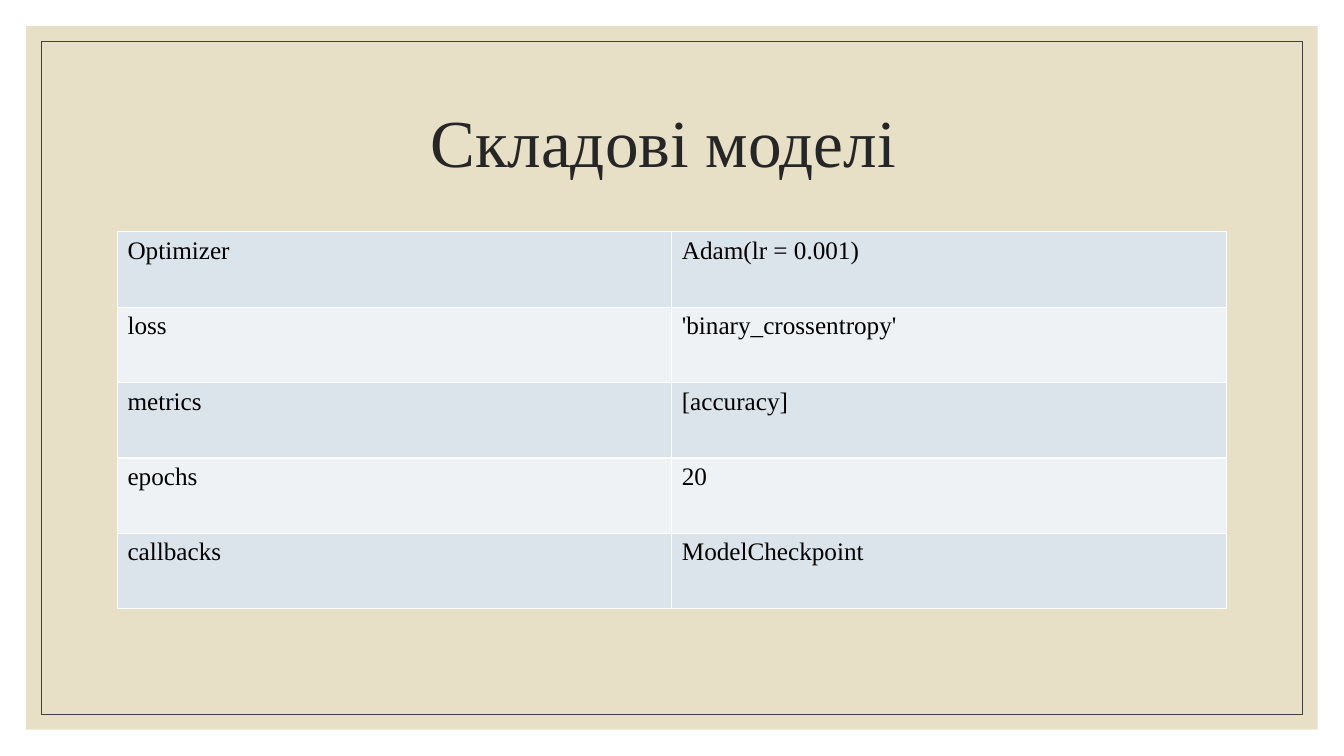
from lxml import etree
from pptx import Presentation
from pptx import util as u
from pptx.dml.color import RGBColor
from pptx.enum import shapes, text
from pptx.oxml import ns

HEAD = "Складові моделі "
ROWS = [
    ("Optimizer", "Adam(lr = 0.001)"),
    ("loss", "'binary_crossentropy'"),
    ("metrics", "[accuracy]"),
    ("epochs", "20"),
    ("callbacks", "ModelCheckpoint"),
]
HUES = {
    "sand": "E7E0C7", "frame": "404040", "head": "262626",
    "ink": "000000", "odd": "DCE4EB", "even": "EEF2F5", "edge": "FFFFFF",
}
FACE = "Times New Roman"
WIDE, HIGH = 33.87, 19.05
LEFT, SPAN = 2.96, 27.94
ROW = 1.9
PANELS = [(0.66, "sand", None), (1.04, None, "frame")]


def hue(name):
    return RGBColor.from_string(HUES[name])


def style(par, size, name):
    for key, val in {"name": FACE, "size": u.Pt(size), "bold": False}.items():
        setattr(par.font, key, val)
    par.font.color.rgb = hue(name)


def place(shape, *box):
    for key, val in zip(("left", "top", "width", "height"), box):
        setattr(shape, key, u.Cm(val))


def panel(slide, gap, fill, line):
    box = (gap, gap, WIDE - 2 * gap, HIGH - 2 * gap)
    rect = slide.shapes.add_shape(shapes.MSO_SHAPE.RECTANGLE, *map(u.Cm, box))
    rect.shadow.inherit = False
    if fill:
        rect.fill.solid()
        rect.fill.fore_color.rgb = hue(fill)
    else:
        rect.fill.background()
    if line:
        rect.line.color.rgb = hue(line)
        rect.line.width = u.Pt(0.5)
    else:
        rect.line.fill.background()


def edge(cell):
    props = cell._tc.get_or_add_tcPr()
    for side in "LRTB":
        line = etree.SubElement(props, ns.qn("a:ln" + side), w=str(u.Pt(1)))
        fill = etree.SubElement(line, ns.qn("a:solidFill"))
        etree.SubElement(fill, ns.qn("a:srgbClr"), val=HUES["edge"])


def title(slide):
    head = slide.shapes.title
    slide.shapes._spTree.append(head._element)
    place(head, LEFT, 1.78, SPAN, 3.81)
    frame = head.text_frame
    frame.text = HEAD
    form = {
        "vertical_anchor": text.MSO_ANCHOR.MIDDLE,
        "word_wrap": True,
        "auto_size": text.MSO_AUTO_SIZE.NONE,
    }
    for key, val in form.items():
        setattr(frame, key, val)
    par = frame.paragraphs[0]
    par.alignment = text.PP_ALIGN.CENTER
    par.line_spacing = 0.9
    style(par, 48, "head")


def grid(slide):
    box = (LEFT, 5.84, SPAN, ROW * len(ROWS))
    table = slide.shapes.add_table(len(ROWS), 2, *map(u.Cm, box)).table
    table.first_row = False
    for r, row in enumerate(ROWS):
        table.rows[r].height = u.Cm(ROW)
        for c, word in enumerate(row):
            cell = table.cell(r, c)
            cell.text = word
            style(cell.text_frame.paragraphs[0], 18, "ink")
            edge(cell)
            cell.fill.solid()
            cell.fill.fore_color.rgb = hue("even" if r % 2 else "odd")


def main():
    deck = Presentation()
    deck.slide_width, deck.slide_height = u.Cm(WIDE), u.Cm(HIGH)
    slide = deck.slides.add_slide(deck.slide_layouts[5])
    for item in PANELS:
        panel(slide, *item)
    title(slide)
    grid(slide)
    deck.save("out.pptx")


if __name__ == "__main__":
    main()
